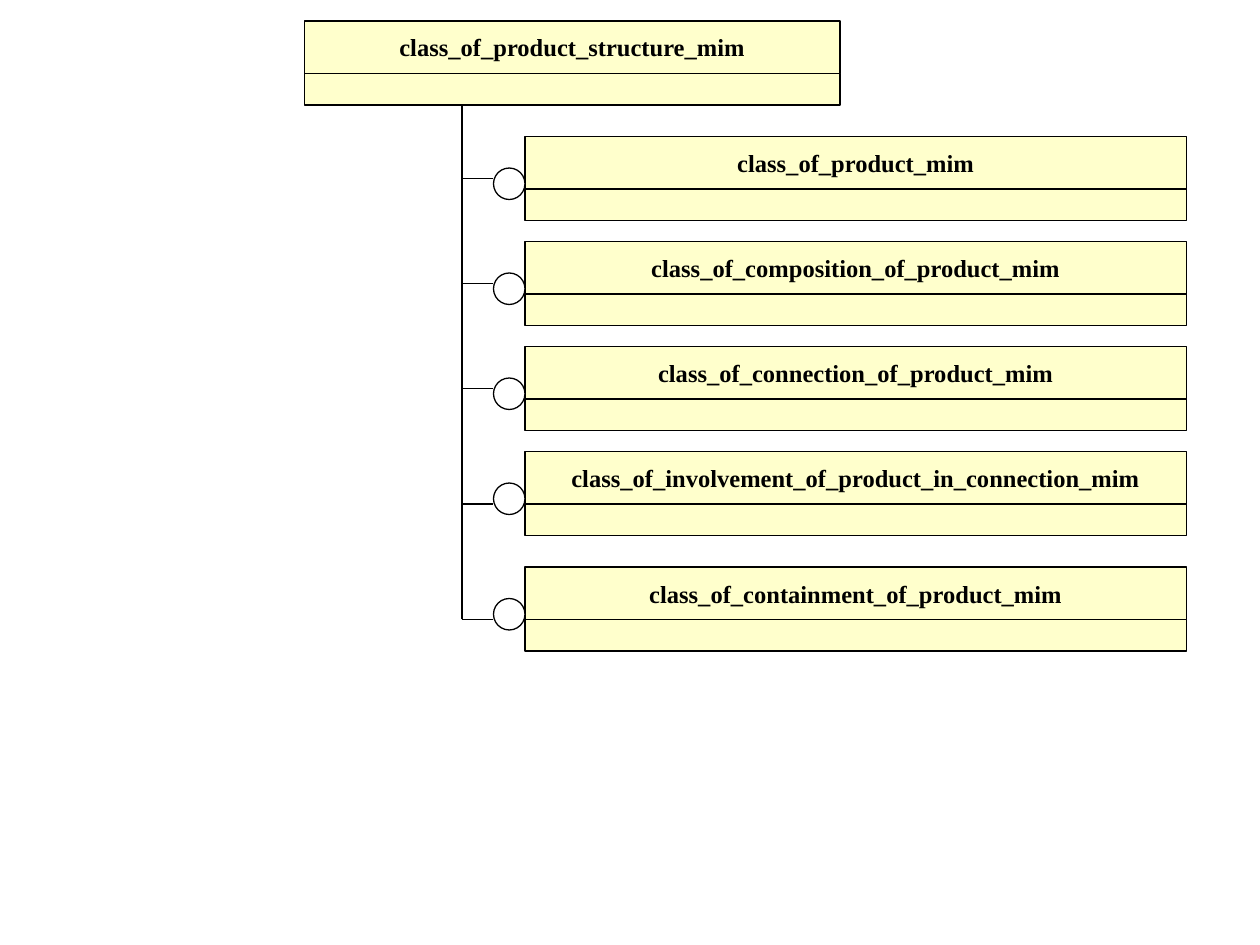
import pptx
import pptx.util
import pptx.dml.color
import pptx.enum.shapes
import pptx.enum.text
import pptx.oxml

Pt = pptx.util.Pt
KIND = pptx.enum.shapes.MSO_SHAPE
COLORS = {"box": "FFFFCC", "ring": "FFFFFF", "ink": "000000"}


def paint(name):
    return pptx.dml.color.RGBColor.from_string(COLORS[name])


def write(shape, text, size=14, bold=True, font="Times New Roman", color="ink"):
    frame = shape.text_frame
    frame.word_wrap = False
    frame.vertical_anchor = pptx.enum.text.MSO_ANCHOR.MIDDLE
    para = frame.paragraphs[0]
    para.alignment = pptx.enum.text.PP_ALIGN.CENTER
    run = para.add_run()
    run.text = text
    run.font.size = Pt(size)
    run.font.bold = bold
    run.font.name = font
    run.font.color.rgb = paint(color)


class Chart:
    head = 30
    body = 18
    ring = 18
    width = 0.75

    def __init__(self, slide):
        self.slide = slide

    def shape(self, home, kind, x, y, w, h, fill):
        item = home.shapes.add_shape(kind, Pt(x), Pt(y), Pt(w), Pt(h))
        item.shadow.inherit = False
        item.fill.solid()
        item.fill.fore_color.rgb = paint(fill)
        item.line.color.rgb = paint("ink")
        item.line.width = Pt(self.width)
        return item

    def entity(self, text, x, y, w):
        group = self.slide.shapes.add_group_shape()
        title = self.shape(group, KIND.RECTANGLE, x, y, w, self.head, "box")
        write(title, text)
        self.shape(group, KIND.RECTANGLE, x, y + self.head, w, self.body, "box")

    def circle(self, x, y):
        self.shape(self.slide, KIND.OVAL, x, y, self.ring, self.ring, "ring")

    def line(self, x1, y1, x2, y2):
        link = self.slide.shapes.add_connector(
            pptx.enum.shapes.MSO_CONNECTOR.STRAIGHT, Pt(x1), Pt(y1), Pt(x2), Pt(y2))
        link.line.color.rgb = paint("ink")
        link.line.width = Pt(self.width)
        props = link._element.spPr
        props.append(pptx.oxml.parse_xml(
            '<a:effectLst xmlns:a="http://schemas.openxmlformats.org/drawingml/2006/main"/>'))


def main():
    deck = pptx.Presentation()
    deck.slide_width = Pt(720)
    deck.slide_height = Pt(540)
    chart = Chart(deck.slides.add_slide(deck.slide_layouts[6]))

    trunk, left = 264, 300
    edge = left - chart.ring
    kids = [
        ("class_of_product_mim", 78, 24),
        ("class_of_composition_of_product_mim", 138, 24),
        ("class_of_connection_of_product_mim", 198, 24),
        ("class_of_involvement_of_product_in_connection_mim", 258, 30),
        ("class_of_containment_of_product_mim", 324, 30),
    ]
    top = 12
    chart.entity("class_of_product_structure_mim", 174, top, 306)
    last = kids[-1][1] + kids[-1][2]
    chart.line(trunk, last, trunk, top + chart.head + chart.body)
    for text, y, drop in kids:
        chart.entity(text, left, y, 378)
        chart.circle(edge, y + 18)
        chart.line(trunk, y + drop, edge, y + drop)

    deck.save("out.pptx")


if __name__ == "__main__":
    main()
